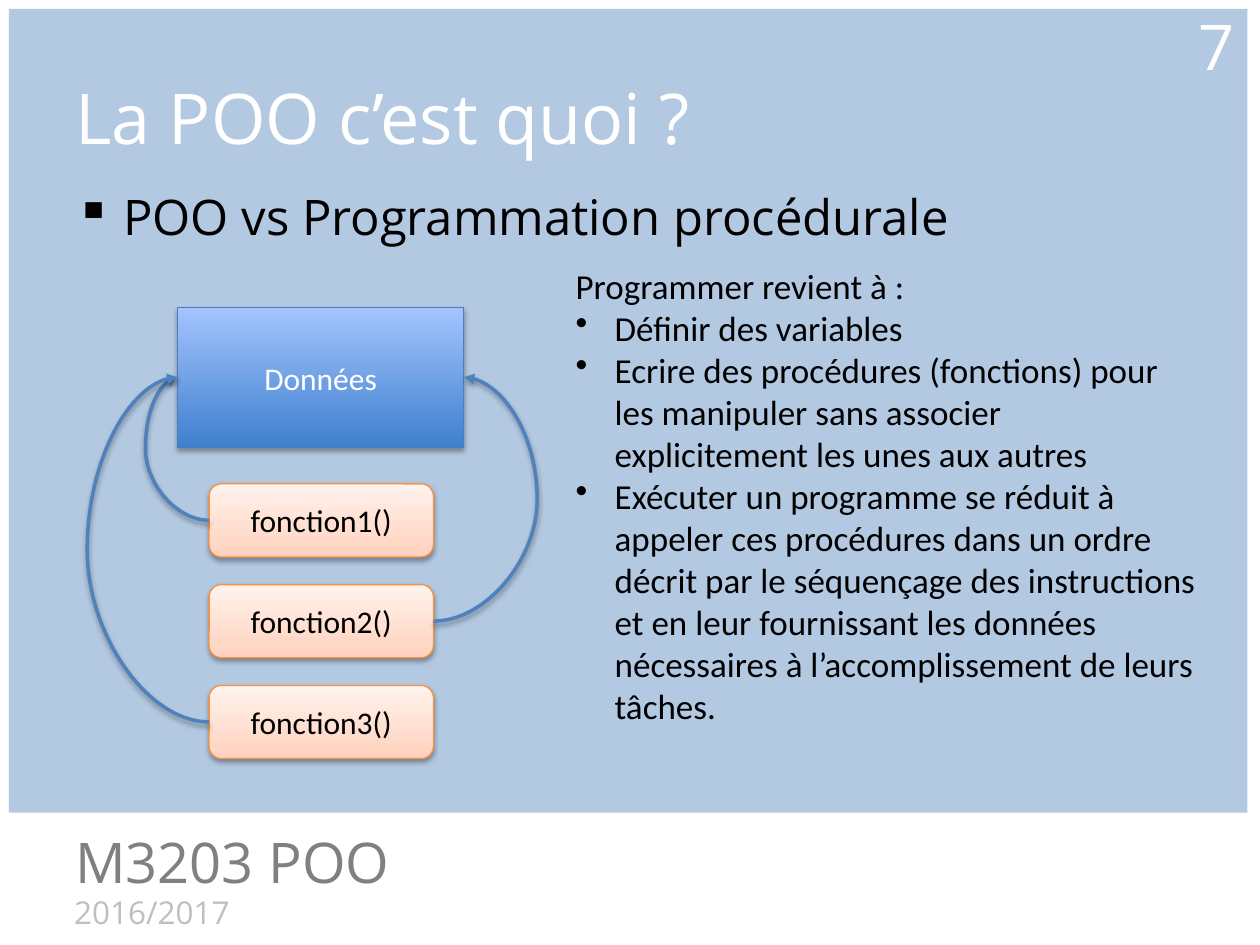
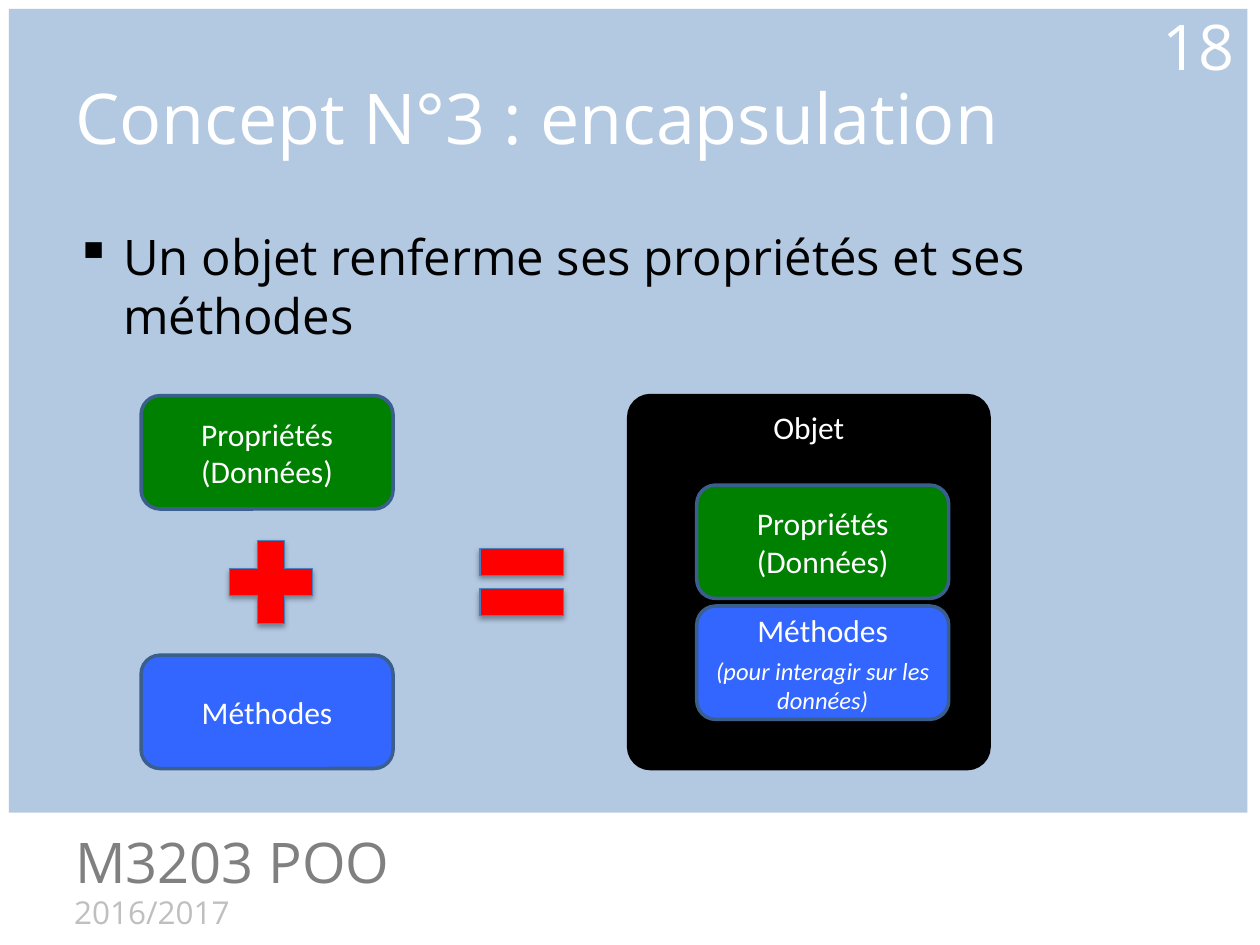
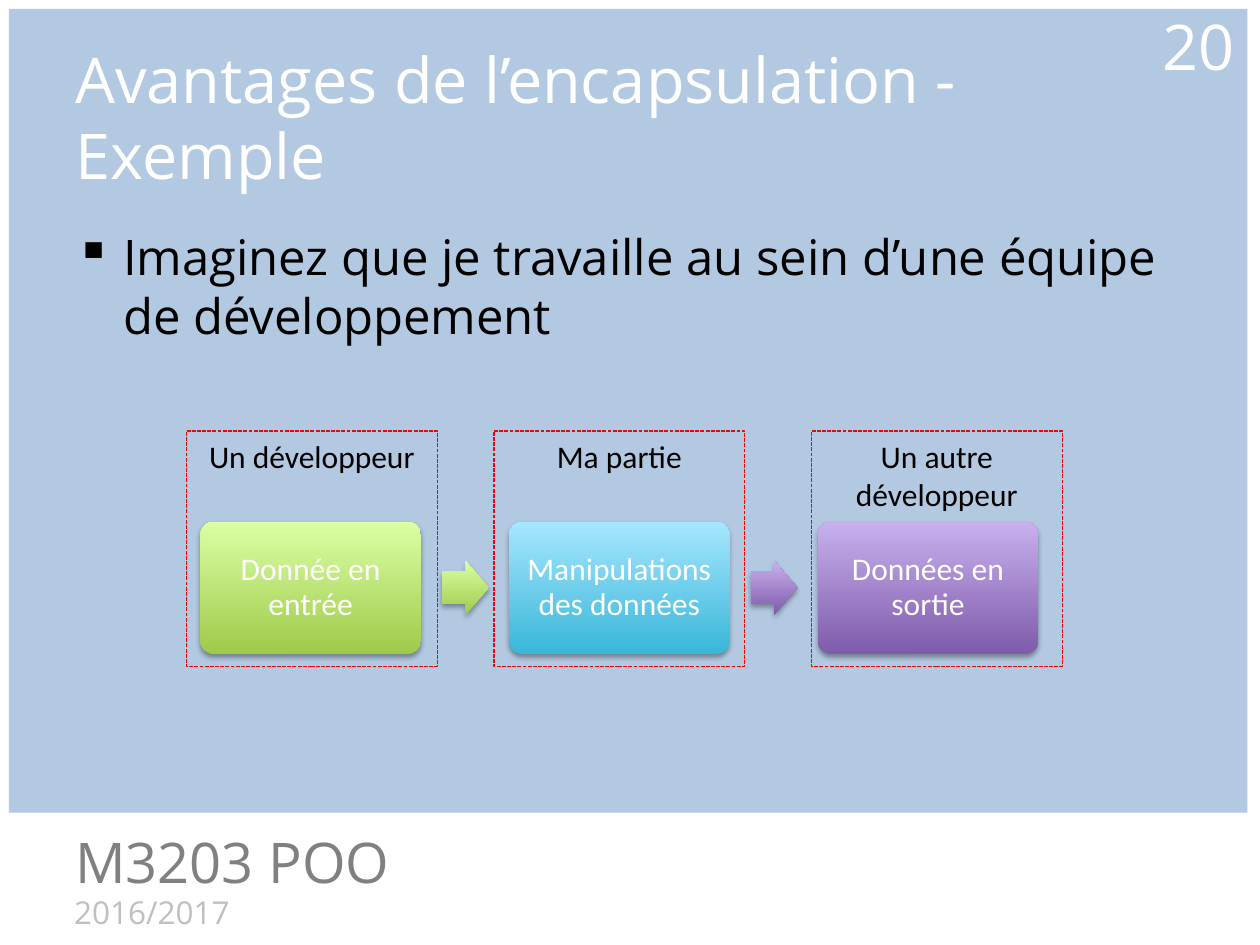
"""Build three slides of a course on object-oriented programming."""
from lxml.etree import SubElement
from pptx import Presentation
from pptx.dml.color import RGBColor
from pptx.enum.dml import MSO_LINE
from pptx.enum.shapes import MSO_CONNECTOR, MSO_SHAPE
from pptx.enum.text import MSO_ANCHOR, MSO_AUTO_SIZE, PP_ALIGN
from pptx.oxml.ns import qn
from pptx.util import Inches, Pt

COLORS = {
    "band": "95B3D7", "white": "FFFFFF", "black": "000000", "course": "808080", "year": "BFBFBF",
    "accent": "4F81BD", "edge": "4B7EBC", "box edge": "3A5F8C", "orange": "F69240",
    "green": "008000", "blue": "3366FF", "red": "FF0000",
}
GRADIENTS = {
    "data": ("3F80CE", "A4C4FF"), "function": ("FFD2BD", "FFF2ED"),
    "lime": ("A0CA4A", "DAFFA5"), "cyan": ("39B7D8", "A7E6FF"), "purple": ("7F5BAB", "C8B0ED"),
}
TITLE_FONT = "Open Sans"
BODY_FONT = "Calibri"


def write(shape, lines, size, color, font=BODY_FONT, align=PP_ALIGN.LEFT,
          anchor=MSO_ANCHOR.TOP, bullet=None, indent=0, first_bullet=0):
    """Fill a shape with one paragraph per line, in one style."""
    frame = shape.text_frame
    frame.word_wrap = True
    frame.auto_size = MSO_AUTO_SIZE.NONE
    frame.vertical_anchor = anchor
    frame.text = "\n".join(lines)
    for index, paragraph in enumerate(frame.paragraphs):
        paragraph.alignment = align
        if bullet and index >= first_bullet:
            properties = paragraph._p.get_or_add_pPr()
            properties.set("marL", str(Inches(indent)))
            properties.set("indent", str(-Inches(indent)))
            SubElement(properties, qn("a:buChar"), char=bullet)
        paragraph.font.name = font
        paragraph.font.size = Pt(size)
        paragraph.font.color.rgb = RGBColor.from_string(COLORS[color])


def add_box(slide, kind, box, fill=None, line=None, width=0.75,
            lines=(), color="white", anchor=MSO_ANCHOR.MIDDLE):
    """Add a preset shape with a plain, gradient or empty fill and centred text."""
    shape = slide.shapes.add_shape(kind, *map(Inches, box))
    shape.shadow.inherit = False
    if fill in GRADIENTS:
        shape.fill.gradient()
        shape.fill.gradient_angle = 90
        for stop, stop_color in zip(shape.fill.gradient_stops, GRADIENTS[fill]):
            stop.color.rgb = RGBColor.from_string(stop_color)
    elif fill:
        shape.fill.solid()
        shape.fill.fore_color.rgb = RGBColor.from_string(COLORS[fill])
    else:
        shape.fill.background()
    if line:
        shape.line.color.rgb = RGBColor.from_string(COLORS[line])
        shape.line.width = Pt(width)
    else:
        shape.line.fill.background()
    if lines:
        write(shape, lines, 18, color, align=PP_ALIGN.CENTER, anchor=anchor)
    return shape


presentation = Presentation()
presentation.slide_width = Inches(10)
presentation.slide_height = Inches(7.5)

slides = []
shadowed = []
for title, title_size, number, body, body_top in [
    ("La POO c’est quoi ?", 40, "7", "POO vs Programmation procédurale", 1.43),
    ("Concept N°3 : encapsulation", 40, "18",
     "Un objet renferme ses propriétés et ses méthodes", 1.75),
    ("Avantages de l’encapsulation - Exemple", 36, "20",
     "Imaginez que je travaille au sein d’une équipe de développement", 1.75),
]:
    slide = presentation.slides.add_slide(presentation.slide_layouts[5])
    slides.append(slide)
    heading = slide.shapes.title
    heading.left, heading.top, heading.width, heading.height = map(Inches, (0.5, 0.3, 9, 1.25))
    write(heading, [title], title_size, "white", TITLE_FONT, anchor=MSO_ANCHOR.MIDDLE)

    band = add_box(slide, MSO_SHAPE.RECTANGLE, (0.07, 0.07, 9.83, 6.38), "band")
    band_color = band.element.spPr.find(".//" + qn("a:srgbClr"))
    SubElement(band_color, qn("a:alpha"), val="71000")
    heading.element.addprevious(band.element)

    for box, text, size, color, style in [
        ((0.49, 7.04, 4, 0.4), "2016/2017", 18, "year", {}),
        ((0.5, 6.52, 5.12, 0.64), "M3203 POO", 32, "course", {}),
        ((0.5, body_top, 9, 4.57), body, 28, "black", {"bullet": "▪", "indent": 0.38}),
        ((8.63, 0.07, 1.27, 0.58), number, 36, "white",
         {"align": PP_ALIGN.RIGHT, "anchor": MSO_ANCHOR.MIDDLE}),
    ]:
        text_box = slide.shapes.add_textbox(*map(Inches, box))
        write(text_box, [text], size, color, TITLE_FONT, **style)

procedural, encapsulation, example = slides

data = add_box(procedural, MSO_SHAPE.RECTANGLE, (1.41, 2.44, 2.27, 1.11),
               "data", "edge", lines=["Données"])
shadowed.append(data)
for index, (side, bend) in enumerate([(1, 2.02), (3, 3.43), (1, 3.87)]):
    function = add_box(procedural, MSO_SHAPE.ROUNDED_RECTANGLE,
                       (1.66, 3.84 + 0.8 * index, 1.78, 0.58), "function", "orange",
                       lines=[f"fonction{index + 1}()"], color="black")
    connector = procedural.shapes.add_connector(MSO_CONNECTOR.CURVE, 0, 0, 0, 0)
    connector.begin_connect(function, side)
    connector.end_connect(data, side)
    connector.line.color.rgb = RGBColor.from_string(COLORS["accent"])
    connector.line.width = Pt(2)
    SubElement(connector.line._get_or_add_ln(), qn("a:tailEnd"), type="triangle")
    adjustments = connector.element.spPr.find(".//" + qn("a:avLst"))
    SubElement(adjustments, qn("a:gd"), name="adj1", fmla=f"val {round(bend * 100000)}")
    shadowed += [function, connector]

explanation = procedural.shapes.add_textbox(*map(Inches, (4.47, 2.05, 5.15, 3.8)))
write(explanation, [
    "Programmer revient à :",
    "Définir des variables",
    "Ecrire des procédures (fonctions) pour les manipuler sans associer explicitement "
    "les unes aux autres",
    "Exécuter un programme se réduit à appeler ces procédures dans un ordre décrit par le "
    "séquençage des instructions et en leur fournissant les données nécessaires à "
    "l’accomplissement de leurs tâches.",
], 20, "black", bullet="•", indent=0.31, first_bullet=1)

container = add_box(encapsulation, MSO_SHAPE.ROUNDED_RECTANGLE, (4.99, 3.14, 2.86, 2.96),
                    "black", "black", 2, ["Objet"], anchor=MSO_ANCHOR.TOP)
container.adjustments[0] = 0.06
properties_text = ["Propriétés (Données)"]
for left, top, fill, lines in [
    (1.12, 3.14, "green", properties_text),
    (1.12, 5.2, "blue", ["Méthodes"]),
    (5.53, 3.85, "green", properties_text),
    (5.53, 4.81, "blue", ["Méthodes", "(pour interagir sur les données)"]),
]:
    member = add_box(encapsulation, MSO_SHAPE.ROUNDED_RECTANGLE, (left, top, 2, 0.9),
                     fill, "box edge", 2, lines)
    for paragraph in member.text_frame.paragraphs[1:]:
        paragraph.space_before = Pt(4)
        paragraph.font.size = Pt(14)
        paragraph.font.italic = True
for kind, left in [(MSO_SHAPE.MATH_PLUS, 1.7), (MSO_SHAPE.MATH_EQUAL, 3.69)]:
    shadowed.append(add_box(encapsulation, kind, (left, 4.17, 0.9, 0.9), "red", "edge"))

for index, (frame_left, owner, step, fill) in enumerate([
    (1.48, "Un développeur", "Donnée en entrée", "lime"),
    (3.92, "Ma partie", "Manipulations des données", "cyan"),
    (6.44, "Un autre développeur", "Données en sortie", "purple"),
]):
    owner_frame = add_box(example, MSO_SHAPE.RECTANGLE, (frame_left, 3.42, 1.99, 1.87),
                          line="red", lines=[owner], color="black", anchor=MSO_ANCHOR.TOP)
    owner_frame.line.dash_style = MSO_LINE.SQUARE_DOT
    step_left = 1.59 + 2.45 * index
    step_box = add_box(example, MSO_SHAPE.ROUNDED_RECTANGLE, (step_left, 4.14, 1.75, 1.05),
                       fill, lines=[step])
    step_box.adjustments[0] = 0.1
    text_frame = step_box.text_frame
    text_frame.margin_left = text_frame.margin_right = Inches(0.07)
    text_frame.paragraphs[0].line_spacing = 0.9
    shadowed.append(step_box)
    if index:
        arrow_fill = "lime" if index == 1 else fill
        arrow = add_box(example, MSO_SHAPE.RIGHT_ARROW, (step_left - 0.53, 4.45, 0.37, 0.43),
                        arrow_fill)
        arrow.adjustments[0] = 0.6
        shadowed.append(arrow)

for shape in shadowed:
    shape_properties = shape.element.spPr
    effects = shape_properties.find(qn("a:effectLst"))
    if effects is None:
        effects = SubElement(shape_properties, qn("a:effectLst"))
    shadow = SubElement(effects, qn("a:outerShdw"), blurRad=str(Pt(3.1)), dist=str(Pt(1.8)),
                        dir="5400000", rotWithShape="0")
    shadow_color = SubElement(shadow, qn("a:srgbClr"), val=COLORS["black"])
    SubElement(shadow_color, qn("a:alpha"), val="35000")

presentation.save("out.pptx")
